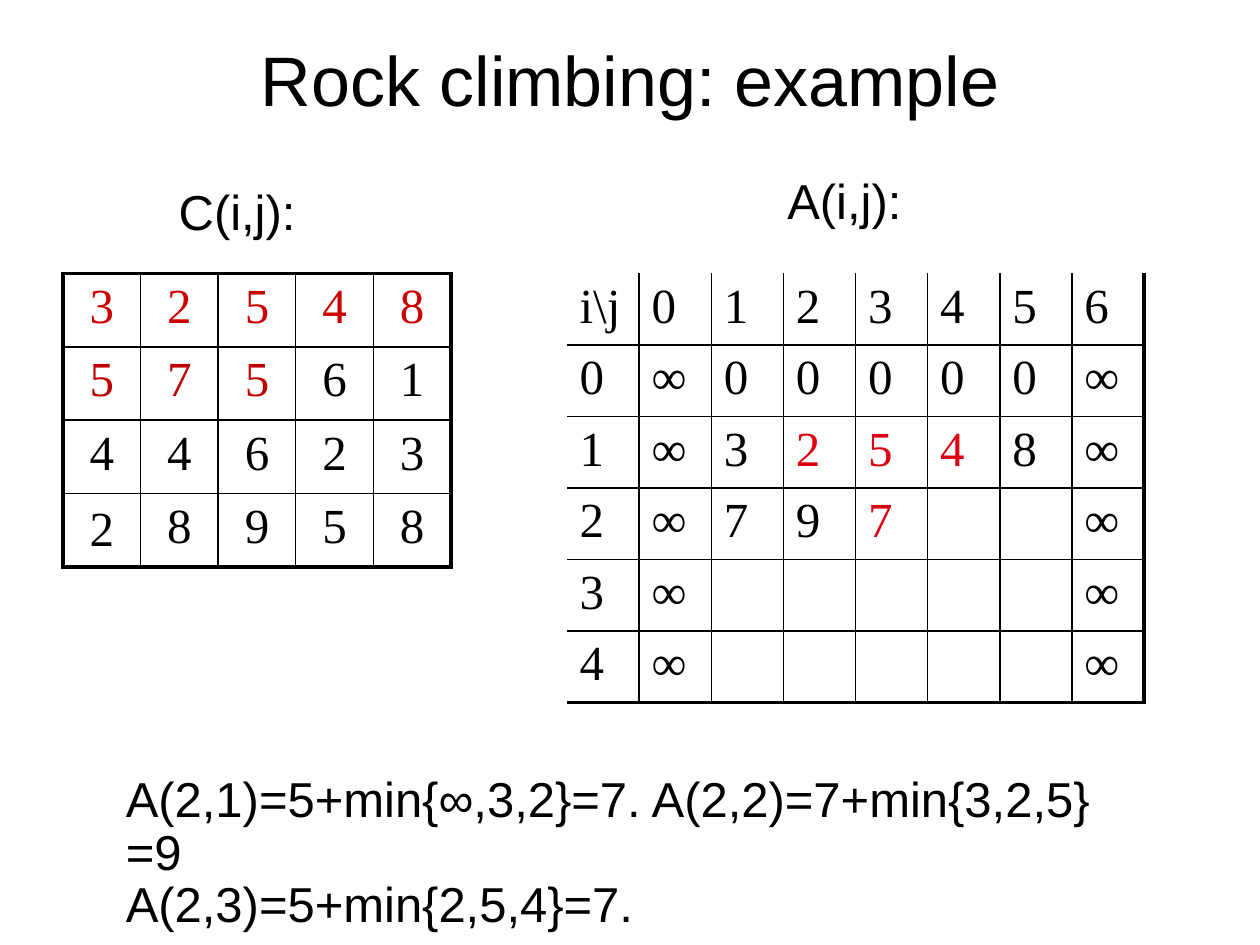
from lxml.etree import SubElement
from pptx import Presentation
from pptx.dml.color import RGBColor
from pptx.enum.text import MSO_ANCHOR, MSO_AUTO_SIZE, PP_ALIGN
from pptx.oxml.ns import qn
from pptx.util import Inches, Pt

BLACK = RGBColor(0x00, 0x00, 0x00)
RED = RGBColor(0xCC, 0x00, 0x00)
DARK_RED = RGBColor(0xC0, 0x00, 0x00)
BRIGHT_RED = RGBColor(0xDD, 0x01, 0x11)

TITLE = "Rock climbing: example"
LABELS = [("C(i,j):", (1.32, 1.44, 1.14, 0.52)), ("A(i,j):", (6.15, 1.36, 1.16, 0.52))]
STEPS = "A(2,1)=5+min{∞,3,2}=7. A(2,2)=7+min{3,2,5}=9\nA(2,3)=5+min{2,5,4}=7."
COST_ROWS = ["3 2 5 4 8".split(), "5 7 5 6 1".split(), "4 4 6 2 3".split(), "2 8 9 5 8".split()]
COST_COLORS = {(0, column): RED for column in range(5)} | {(1, column): DARK_RED for column in range(3)}
ANSWER_ROWS = [
    ["i\\j", "0", "1", "2", "3", "4", "5", "6"],
    ["0", "∞", "0", "0", "0", "0", "0", "∞"],
    ["1", "∞", "3", "2", "5", "4", "8", "∞"],
    ["2", "∞", "7", "9", "7", "", "", "∞"],
    ["3", "∞", "", "", "", "", "", "∞"],
    ["4", "∞", "", "", "", "", "", "∞"],
]
ANSWER_COLORS = dict.fromkeys([(2, 3), (2, 4), (2, 5), (3, 4)], BRIGHT_RED)
TABLE_TOP = 2.17
THIN, THICK = 1, 2.25


def write(frame, text, font="Arial", size=28, color=BLACK, align=PP_ALIGN.LEFT, line_spacing=None):
    """Fill a text frame with formatted paragraphs, one per line of text."""
    frame.text = text
    for paragraph in frame.paragraphs:
        paragraph.alignment = align
        paragraph.line_spacing = line_spacing
        paragraph.font.size = Pt(size)
        for run in paragraph.runs:
            run.font.name, run.font.size, run.font.color.rgb = font, Pt(size), color


def add_text(slide, text, box, wrap=False):
    """Add a text box that grows with its text."""
    frame = slide.shapes.add_textbox(*map(Inches, box)).text_frame
    frame.word_wrap = wrap
    frame.auto_size = MSO_AUTO_SIZE.SHAPE_TO_FIT_TEXT
    write(frame, text, line_spacing=0.9)


def set_borders(cell, widths):
    """Draw the left, right, top and bottom borders; zero hides one."""
    properties = cell._tc.get_or_add_tcPr()
    for index, (side, width) in enumerate(zip("LRTB", widths)):
        line = SubElement(properties, qn(f"a:ln{side}"), w=str(Pt(width)))
        if width:
            fill = SubElement(line, qn("a:solidFill"))
            SubElement(fill, qn("a:srgbClr"), val=str(BLACK))
        else:
            SubElement(line, qn("a:noFill"))
        properties.insert(index, line)


def add_grid(slide, rows, colors, left, width, height, align, lead):
    """Add a ruled table whose left and top edges have the lead width."""
    row_count, column_count = len(rows), len(rows[0])
    table = slide.shapes.add_table(
        row_count, column_count, Inches(left), Inches(TABLE_TOP), Inches(width), Inches(height)
    ).table
    table.first_row = table.horz_banding = False
    for row, values in enumerate(rows):
        for column, value in enumerate(values):
            cell = table.cell(row, column)
            cell.fill.background()
            write(cell.text_frame, value, font="Times New Roman",
                  color=colors.get((row, column), BLACK), align=align)
            set_borders(cell, (
                THIN if column else lead,
                THICK if column == column_count - 1 else THIN,
                THIN if row else lead,
                THICK if row == row_count - 1 else THIN,
            ))
    return table


def main():
    """Build the slide and save it."""
    presentation = Presentation()
    presentation.slide_width, presentation.slide_height = Inches(10), Inches(7.5)
    slide = presentation.slides.add_slide(presentation.slide_layouts[5])
    title = slide.shapes.title
    title.left, title.top, title.width, title.height = map(Inches, (0.75, 0, 8.5, 1.25))
    title.text_frame.vertical_anchor = MSO_ANCHOR.MIDDLE
    write(title.text_frame, TITLE, size=40, align=PP_ALIGN.CENTER)

    costs = add_grid(slide, COST_ROWS, COST_COLORS, 0.5, 3.08, 2.33, PP_ALIGN.CENTER, THICK)
    costs.cell(3, 0).vertical_anchor = MSO_ANCHOR.MIDDLE
    for text, box in LABELS:
        add_text(slide, text, box)
    add_text(slide, STEPS, (0.9, 6.1, 8.14, 0.94), wrap=True)
    add_grid(slide, ANSWER_ROWS, ANSWER_COLORS, 4.5, 4.58, 3.4, PP_ALIGN.LEFT, 0)
    presentation.save("out.pptx")


if __name__ == "__main__":
    main()
